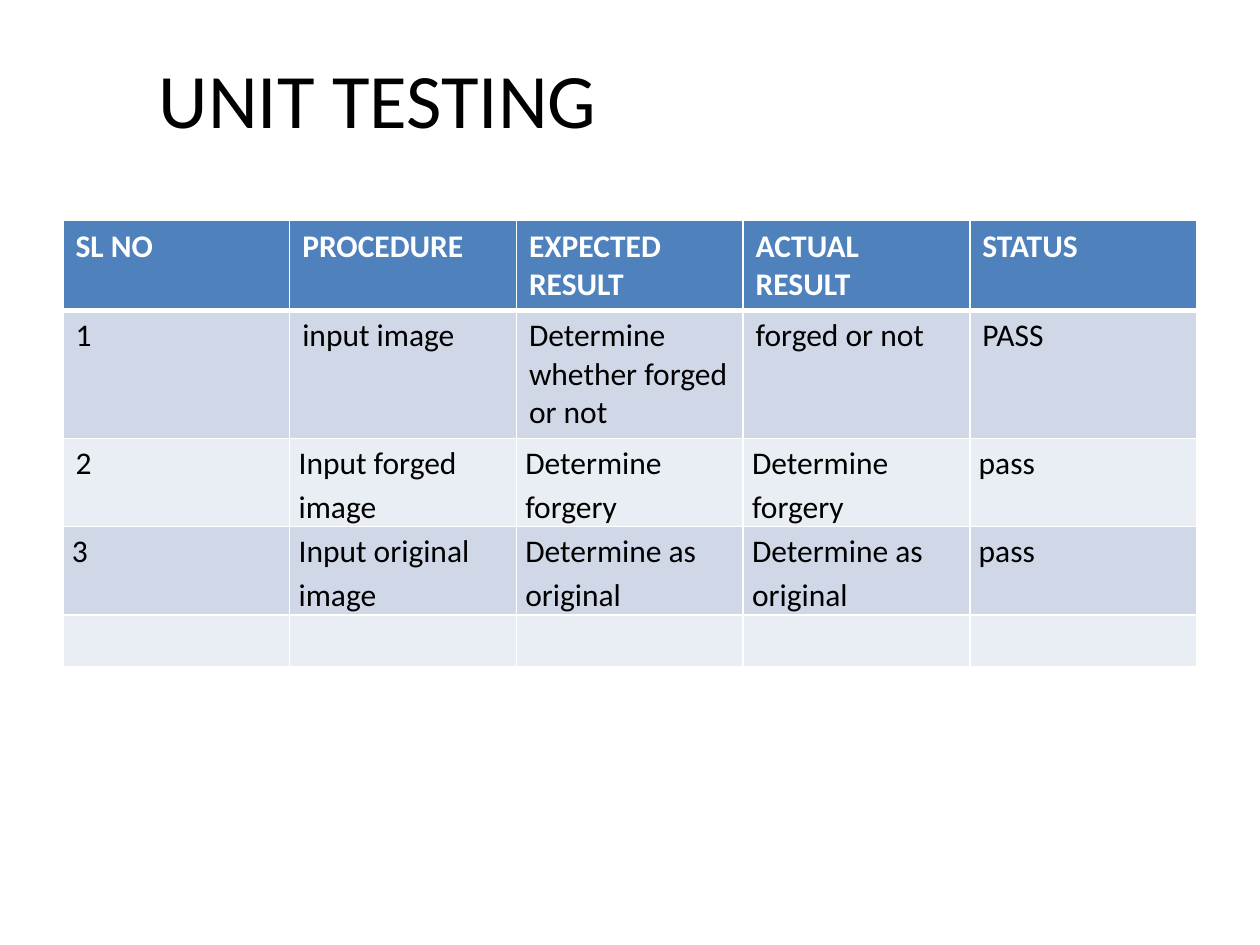
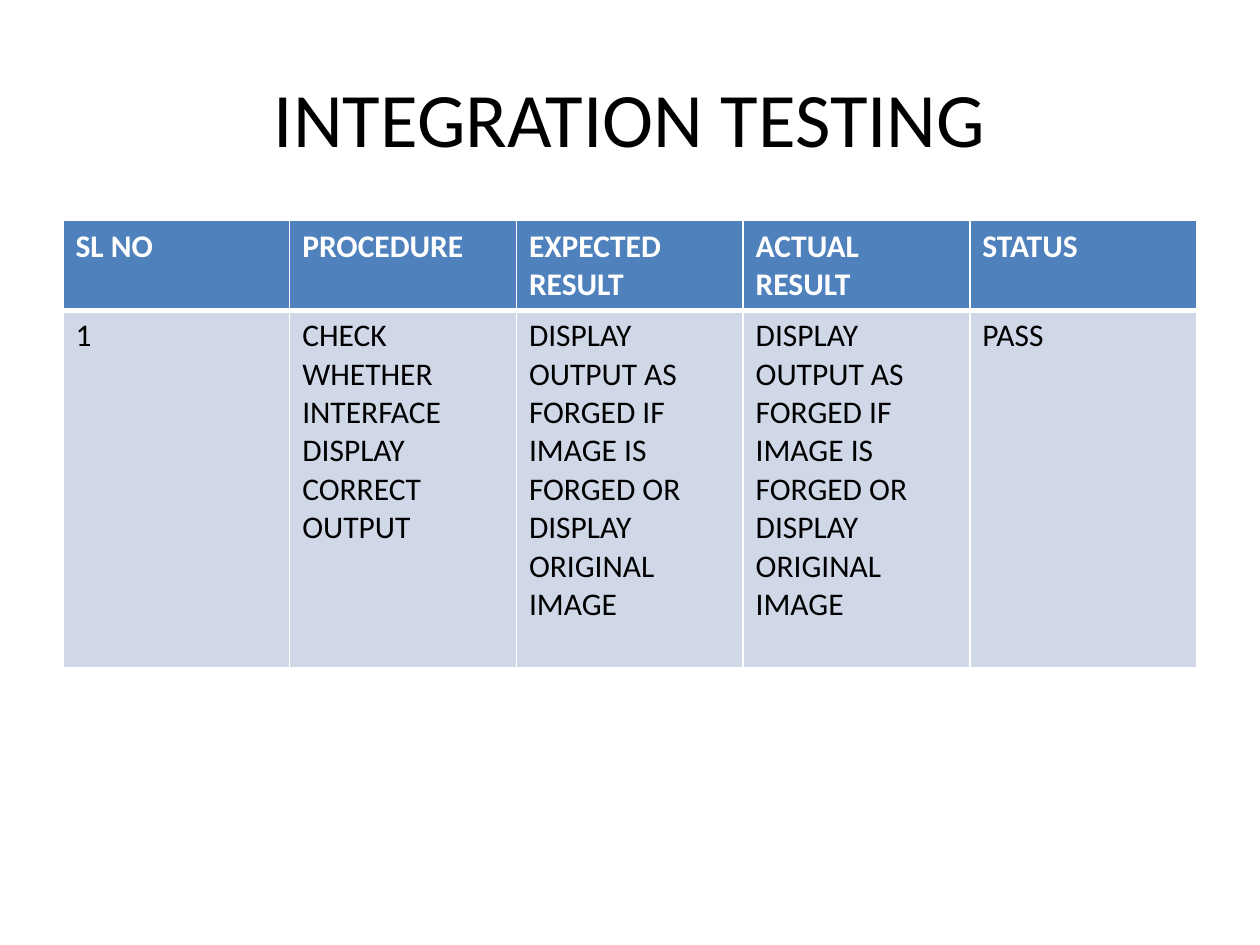
from dataclasses import dataclass

from lxml import etree
from pptx import Presentation
from pptx.dml.color import RGBColor
from pptx.enum.text import MSO_ANCHOR, PP_ALIGN
from pptx.oxml.ns import qn
from pptx.presentation import Presentation as Deck
from pptx.table import _Cell
from pptx.util import Cm, Pt

CENTER = PP_ALIGN.CENTER
MIDDLE = MSO_ANCHOR.MIDDLE

# Shared style
FONT = "Calibri"
BLACK, WHITE = "000000", "FFFFFF"
HEADER_FILL = "4F81BD"
BAND_FILLS = ("D0D8E8", "E9EDF4")
THIN, THICK = 1, 3
LEFT, TITLE_TOP, TABLE_TOP = Cm(1.27), Cm(0.76), Cm(4.45)
COLUMN_WIDTH = Cm(4.57)
TITLE_ONLY = 5


@dataclass
class Row:
    cells: tuple[str, ...]
    height: float
    tight_from: int = 5  # first column with narrow margins and looser lines


@dataclass
class TestSlide:
    title: str
    title_width: float
    title_height: float
    rows: tuple[Row, ...]


HEADER = Row(("SL NO", "PROCEDURE", "EXPECTED RESULT", "ACTUAL RESULT", "STATUS"), 1.78)
DISPLAY_RESULT = "DISPLAY OUTPUT AS FORGED IF IMAGE IS FORGED OR DISPLAY ORIGINAL IMAGE"

SLIDES = (
    TestSlide("UNIT TESTING", 12.7, 2.41, (
        HEADER,
        Row(("1", "input image", "Determine whether forged or not",
             "forged or not", "PASS"), 2.58),
        Row(("2", "Input forged image", "Determine forgery",
             "Determine forgery", "pass"), 1.78, tight_from=1),
        Row(("3", "Input original image", "Determine as original",
             "Determine as original", "pass"), 1.78, tight_from=0),
        Row(("",) * 5, 1.03),
    )),
    TestSlide("INTEGRATION TESTING", 22.86, 3.18, (
        HEADER,
        Row(("1", "CHECK WHETHER INTERFACE DISPLAY CORRECT OUTPUT",
             DISPLAY_RESULT, DISPLAY_RESULT, "PASS"), 7.21),
    )),
)


def rgb(color: str) -> RGBColor:
    return RGBColor.from_string(color)


def set_borders(cell: _Cell, top: int, bottom: int) -> None:
    """Draw white borders; call before the fill, which follows them in the XML."""
    tc_pr = cell._tc.get_or_add_tcPr()
    for side, width in (("L", THIN), ("R", THIN), ("T", top), ("B", bottom)):
        ln = etree.SubElement(tc_pr, qn(f"a:ln{side}"), w=str(Pt(width)))
        fill = etree.SubElement(ln, qn("a:solidFill"))
        etree.SubElement(fill, qn("a:srgbClr"), val=WHITE)


def style_cell(cell: _Cell, text: str, row_index: int, tight: bool) -> None:
    is_header = row_index == 0
    set_borders(cell, THICK if row_index == 1 else THIN, THICK if is_header else THIN)
    cell.fill.solid()
    cell.fill.fore_color.rgb = rgb(
        HEADER_FILL if is_header else BAND_FILLS[(row_index - 1) % 2])
    cell.text = text
    p = cell.text_frame.paragraphs[0]
    p.font.name, p.font.size, p.font.bold = FONT, Pt(18), is_header
    p.font.color.rgb = rgb(WHITE if is_header else BLACK)
    if tight:
        cell.margin_left = cell.margin_right = Cm(0.18)
        cell.margin_top = cell.margin_bottom = Cm(0)
        p.line_spacing = 1.15


def add_test_slide(prs: Deck, content: TestSlide) -> None:
    s = prs.slides.add_slide(prs.slide_layouts[TITLE_ONLY])

    # Title
    title = s.shapes.title
    title.left, title.top = LEFT, TITLE_TOP
    title.width, title.height = Cm(content.title_width), Cm(content.title_height)
    tf = title.text_frame
    tf.text = content.title
    tf.vertical_anchor = MIDDLE
    p = tf.paragraphs[0]
    p.alignment = CENTER
    p.font.name, p.font.size = FONT, Pt(44)
    p.font.color.rgb = rgb(BLACK)

    # Test table
    columns = len(HEADER.cells)
    height = Cm(sum(row.height for row in content.rows))
    table = s.shapes.add_table(len(content.rows), columns, LEFT, TABLE_TOP,
                               COLUMN_WIDTH * columns, height).table
    for row_index, row in enumerate(content.rows):
        table.rows[row_index].height = Cm(row.height)
        for column, text in enumerate(row.cells):
            style_cell(table.cell(row_index, column), text, row_index,
                       column >= row.tight_from)


def main() -> None:
    prs = Presentation()
    prs.slide_width, prs.slide_height = Cm(25.4), Cm(19.05)
    for content in SLIDES:
        add_test_slide(prs, content)
    prs.save("out.pptx")


if __name__ == "__main__":
    main()
